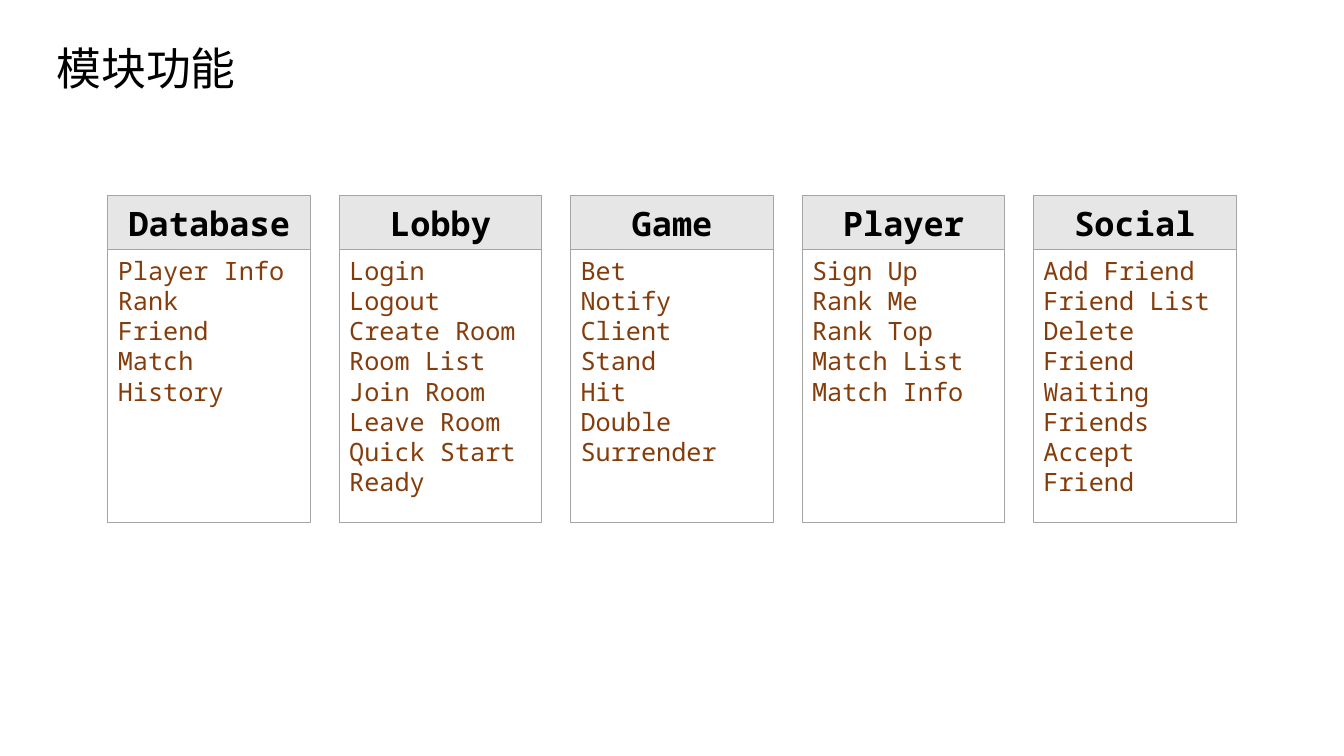
import pptx
import pptx.util
import pptx.dml.color
import pptx.enum.text
import pptx.enum.shapes
import pptx.oxml.ns
import lxml.etree

Inches = pptx.util.Inches
Align = pptx.enum.text.PP_ALIGN
Anchor = pptx.enum.text.MSO_ANCHOR

# Content
TITLE = "模块功能"
MODULES = {
    "Database": ["Player Info", "Rank", "Friend", "Match History"],
    "Lobby": ["Login", "Logout", "Create Room", "Room List", "Join Room",
              "Leave Room", "Quick Start", "Ready"],
    "Game": ["Bet", "Notify Client", "Stand", "Hit", "Double", "Surrender"],
    "Player": ["Sign Up", "Rank Me", "Rank Top", "Match List", "Match Info"],
    "Social": ["Add Friend", "Friend List", "Delete Friend",
               "Waiting Friends", "Accept Friend"],
}

# Theme
THEME = {
    "line": "A5A5A5",
    "title": {"name": "Noto Sans CJK SC", "size": 32, "color": "000000", "bold": False},
    "head": {"name": "Noto Sans Mono", "size": 24, "color": "000000", "bold": True,
             "fill": "E7E6E6", "align": Align.CENTER, "anchor": Anchor.MIDDLE},
    "body": {"name": "Noto Sans Mono", "size": 18, "color": "843C0B", "bold": False,
             "fill": None, "align": Align.LEFT, "anchor": Anchor.TOP},
}

# Layout, in inches
LEFT, TOP, WIDTH, STEP = 1.07, 1.94, 2.01, 2.295
HEAD, BODY = 0.54, 2.7


def color(code):
    return pptx.dml.color.RGBColor.from_string(code)


def write(frame, lines, look, align):
    """Fill a text frame with one paragraph per line."""
    for num, line in enumerate(lines):
        para = frame.paragraphs[0] if num == 0 else frame.add_paragraph()
        para.alignment = align
        run = para.add_run()
        run.text = line
        values = {"name": look["name"], "bold": look["bold"],
                  "size": pptx.util.Pt(look["size"])}
        for key, value in values.items():
            setattr(run.font, key, value)
        run.font.color.rgb = color(look["color"])
        east = lxml.etree.SubElement(run._r.get_or_add_rPr(), pptx.oxml.ns.qn("a:ea"))
        east.set("typeface", look["name"])


def add_box(group, place, lines, look):
    """Add one outlined box with text."""
    box = group.shapes.add_shape(pptx.enum.shapes.MSO_SHAPE.RECTANGLE,
                                 *map(Inches, place))
    box.shadow.inherit = False
    if look["fill"]:
        box.fill.solid()
        box.fill.fore_color.rgb = color(look["fill"])
    else:
        box.fill.background()
    box.line.color.rgb = color(THEME["line"])
    box.line.width = pptx.util.Pt(0.75)
    frame = box.text_frame
    frame.word_wrap = True
    frame.vertical_anchor = look["anchor"]
    write(frame, lines, look, look["align"])


def main():
    deck = pptx.Presentation()
    deck.slide_width, deck.slide_height = Inches(13.33), Inches(7.5)
    slide = deck.slides.add_slide(deck.slide_layouts.get_by_name("Title Only"))

    # Title
    title = slide.shapes.title
    place = {"left": 0.46, "top": 0.35, "width": 2, "height": 0.64}
    for key, value in place.items():
        setattr(title, key, Inches(value))
    frame = title.text_frame
    frame.word_wrap = False
    frame.auto_size = pptx.enum.text.MSO_AUTO_SIZE.NONE
    frame.vertical_anchor = Anchor.TOP
    write(frame, [TITLE], THEME["title"], Align.LEFT)

    # Module cards: header over list
    for num, (name, tasks) in enumerate(MODULES.items()):
        left = LEFT + num * STEP
        card = slide.shapes.add_group_shape()
        add_box(card, (left, TOP, WIDTH, HEAD), [name], THEME["head"])
        add_box(card, (left, TOP + HEAD, WIDTH, BODY), tasks, THEME["body"])

    deck.save("out.pptx")


if __name__ == "__main__":
    main()
